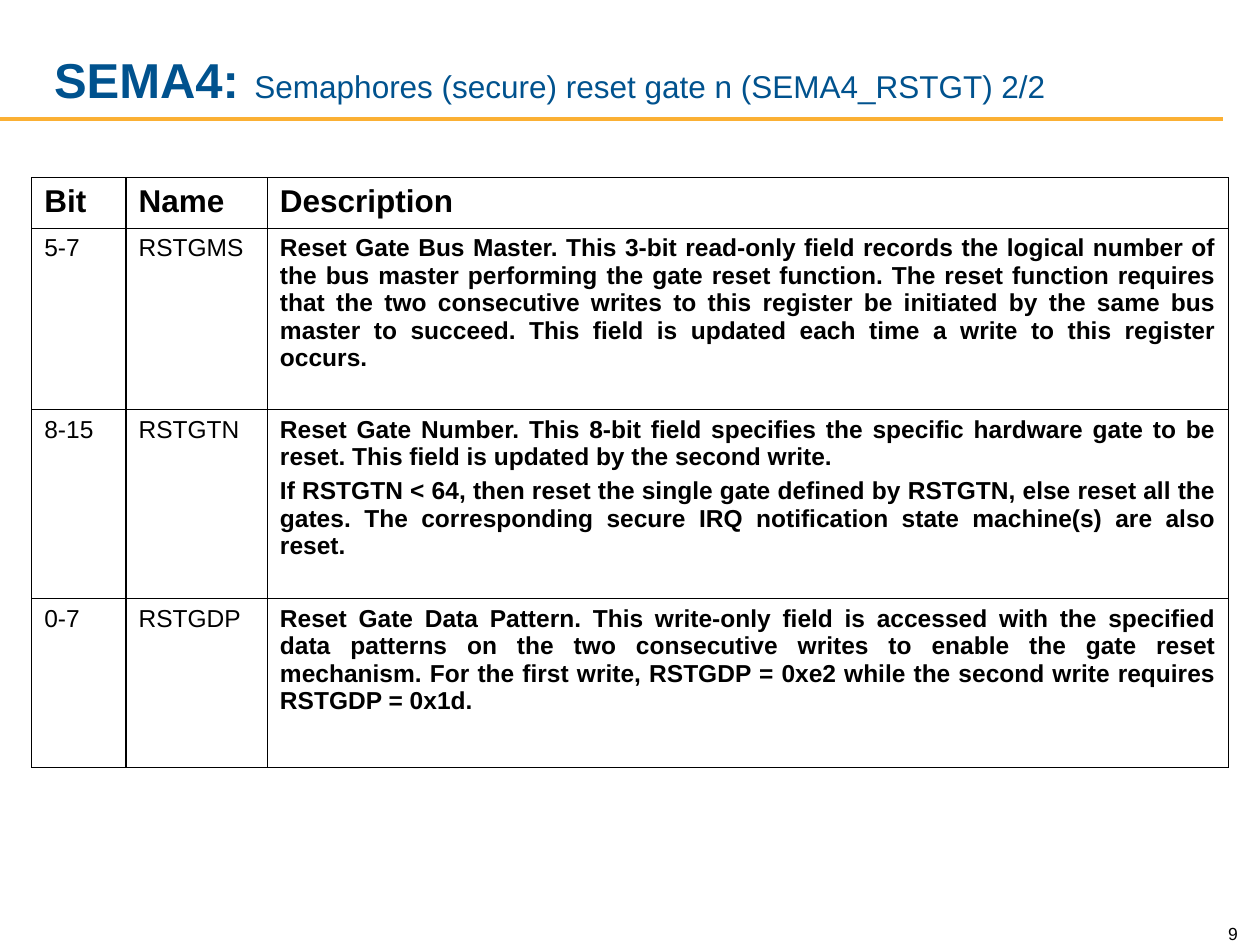
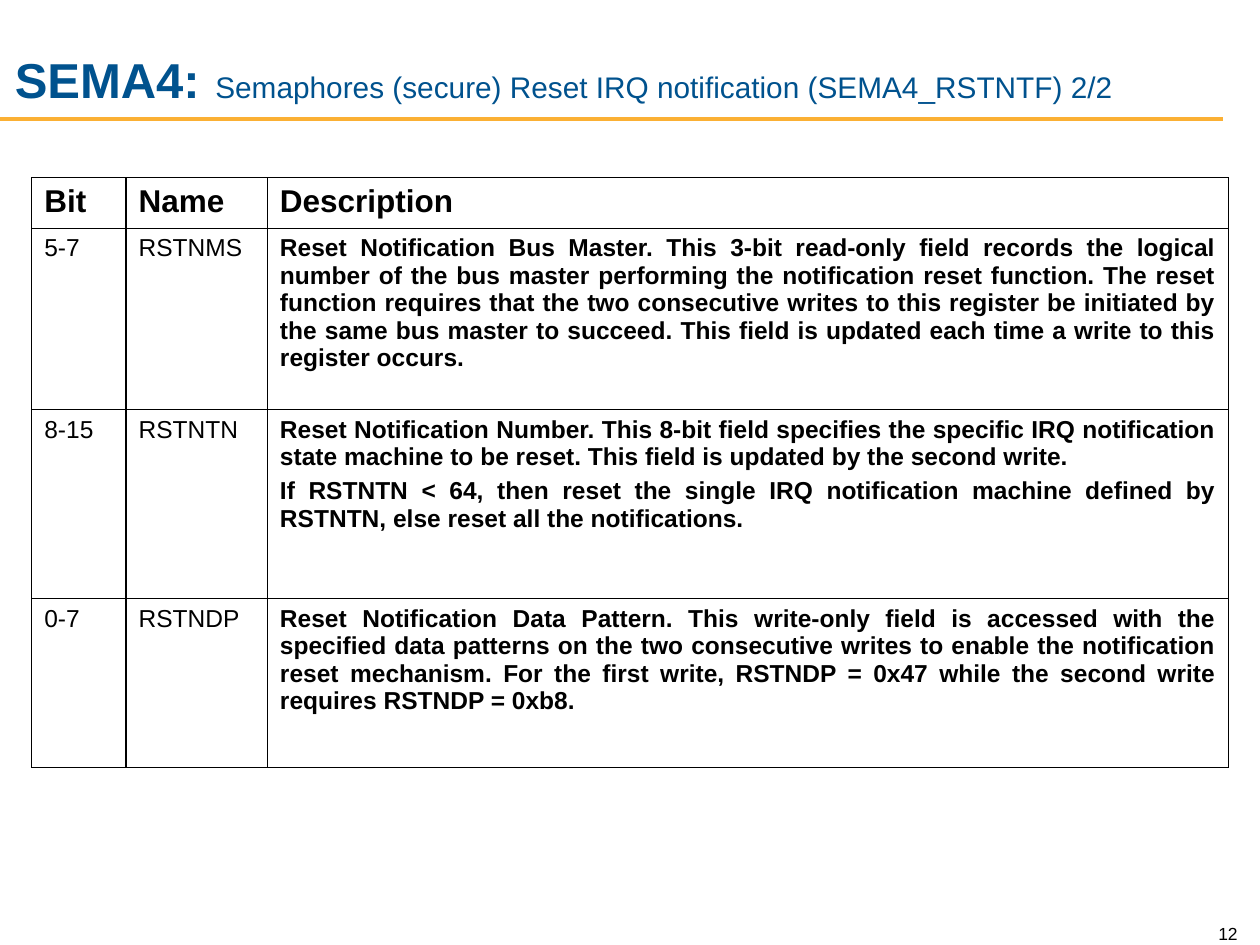
from lxml import etree
from pptx import Presentation
from pptx.dml.color import RGBColor
from pptx.enum.shapes import MSO_CONNECTOR
from pptx.enum.text import MSO_ANCHOR, PP_ALIGN
from pptx.oxml.ns import qn
from pptx.util import Cm, Pt

STRAIGHT = MSO_CONNECTOR.STRAIGHT
BOTTOM = MSO_ANCHOR.BOTTOM
LEFT, RIGHT, JUSTIFY = PP_ALIGN.LEFT, PP_ALIGN.RIGHT, PP_ALIGN.JUSTIFY

COLORS = {"title": "00528E", "rule": "FBB034", "text": "000000"}
FONT = "Arial"

# Boxes are left, top, width, height in centimetres
TABLE_BOX = (0.64, 3.58, 24.13, 11.89)
NUMBER_BOX = (23.93, 18.39, 1.27, 0.76)
RULE_TOP, RULE_WIDTH = 2.39, 24.66
COLUMN_WIDTHS = (1.9, 2.85, 19.38)
ROW_HEIGHTS = (1.02, 3.66, 3.81, 3.4)
BORDER_WIDTH = 0.75

HEADER_FORMAT = {"size": Pt(18), "bold": True}
LABEL_FORMAT = {"size": Pt(14), "bold": False}
DESCRIPTION_FORMAT = {"size": Pt(14), "bold": True}
NUMBER_FORMAT = {"size": Pt(10), "bold": False}

HEADERS = ("Bit", "Name", "Description")

REGISTERS = [
    {
        "title": "Semaphores (secure) reset gate n (SEMA4_RSTGT) 2/2",
        "title_size": 18,
        "title_box": (0.84, 0.43, 22.3, 1.9),
        "number": "9",
        "fields": [
            ("5-7", "RSTGMS", [
                "Reset Gate Bus Master. This 3-bit read-only field records the logical number "
                "of the bus master performing the gate reset function. The reset function "
                "requires that the two consecutive writes to this register be initiated by the "
                "same bus master to succeed. This field is updated each time a write to this "
                "register occurs."]),
            ("8-15", "RSTGTN", [
                "Reset Gate Number. This 8-bit field specifies the specific hardware gate to be "
                "reset. This field is updated by the second write.",
                "If RSTGTN < 64, then reset the single gate defined by RSTGTN, else reset all "
                "the gates. The corresponding secure IRQ notification state machine(s) are also "
                "reset."]),
            ("0-7", "RSTGDP", [
                "Reset Gate Data Pattern. This write-only field is accessed with the specified "
                "data patterns on the two consecutive writes to enable the gate reset "
                "mechanism. For the first write, RSTGDP = 0xe2 while the second write requires "
                "RSTGDP = 0x1d."]),
        ],
    },
    {
        "title": "Semaphores (secure) Reset IRQ notification (SEMA4_RSTNTF) 2/2",
        "title_size": 17,
        "title_box": (0.05, 0.43, 22.86, 1.9),
        "number": "12",
        "fields": [
            ("5-7", "RSTNMS", [
                "Reset Notification Bus Master. This 3-bit read-only field records the logical "
                "number of the bus master performing the notification reset function. The reset "
                "function requires that the two consecutive writes to this register be "
                "initiated by the same bus master to succeed. This field is updated each time a "
                "write to this register occurs."]),
            ("8-15", "RSTNTN", [
                "Reset Notification Number. This 8-bit field specifies the specific IRQ "
                "notification state machine to be reset. This field is updated by the second "
                "write.",
                "If RSTNTN < 64, then reset the single IRQ notification machine defined by "
                "RSTNTN, else reset all the notifications."]),
            ("0-7", "RSTNDP", [
                "Reset Notification Data Pattern. This write-only field is accessed with the "
                "specified data patterns on the two consecutive writes to enable the "
                "notification reset mechanism. For the first write, RSTNDP = 0x47 while the "
                "second write requires RSTNDP = 0xb8."]),
        ],
    },
]


def add_run(paragraph, text, font_format, color="text"):
    run = paragraph.add_run()
    run.text = text
    for name, value in {"name": FONT, **font_format}.items():
        setattr(run.font, name, value)
    run.font.color.rgb = RGBColor.from_string(COLORS[color])


def add_text_box(slide, box, alignment):
    """Add a wrapping, bottom-anchored text box and return its paragraph."""
    frame = slide.shapes.add_textbox(*map(Cm, box)).text_frame
    frame.word_wrap = True
    frame.vertical_anchor = BOTTOM
    paragraph = frame.paragraphs[0]
    paragraph.alignment = alignment
    return paragraph


def add_rule(slide):
    rule = slide.shapes.add_connector(
        STRAIGHT, 0, Cm(RULE_TOP), Cm(RULE_WIDTH), Cm(RULE_TOP))
    rule.line.color.rgb = RGBColor.from_string(COLORS["rule"])
    rule.line.width = Pt(2.25)
    etree.SubElement(rule._element.spPr, qn("a:effectLst"))


def add_title(slide, box, title, size):
    paragraph = add_text_box(slide, box, LEFT)
    for text, points, bold in (("SEMA4:", 28, True), (" ", 32, True), (title, size, False)):
        add_run(paragraph, text, {"size": Pt(points), "bold": bold}, "title")


def add_page_number(slide, box, number):
    add_run(add_text_box(slide, box, RIGHT), number, NUMBER_FORMAT)


def set_borders(cell):
    properties = cell._tc.get_or_add_tcPr()
    for side in ("lnL", "lnR", "lnT", "lnB"):
        border = etree.SubElement(properties, qn(f"a:{side}"), w=str(Pt(BORDER_WIDTH)))
        fill = etree.SubElement(border, qn("a:solidFill"))
        etree.SubElement(fill, qn("a:srgbClr"), val=COLORS["text"])


def fill_cell(cell, texts, font_format, alignment):
    set_borders(cell)
    cell.fill.background()
    frame = cell.text_frame
    for index, text in enumerate(texts):
        paragraph = frame.add_paragraph() if index else frame.paragraphs[0]
        paragraph.alignment = alignment
        paragraph.space_before = font_format["size"] // 4
        add_run(paragraph, text, font_format)


def add_field_table(slide, box, fields):
    table = slide.shapes.add_table(
        len(ROW_HEIGHTS), len(COLUMN_WIDTHS), *map(Cm, box)).table
    table.first_row = table.horz_banding = False
    for column, width in zip(table.columns, COLUMN_WIDTHS):
        column.width = Cm(width)
    for row, height in zip(table.rows, ROW_HEIGHTS):
        row.height = Cm(height)

    # Header row
    for column, header in enumerate(HEADERS):
        fill_cell(table.cell(0, column), [header], HEADER_FORMAT, LEFT)

    # One row for each register field
    for row, (bits, name, description) in enumerate(fields, start=1):
        fill_cell(table.cell(row, 0), [bits], LABEL_FORMAT, LEFT)
        fill_cell(table.cell(row, 1), [name], LABEL_FORMAT, LEFT)
        fill_cell(table.cell(row, 2), description, DESCRIPTION_FORMAT, JUSTIFY)


def add_register_slide(presentation, register):
    slide = presentation.slides.add_slide(presentation.slide_layouts[6])
    add_rule(slide)
    add_title(slide, register["title_box"], register["title"], register["title_size"])
    add_field_table(slide, TABLE_BOX, register["fields"])
    add_page_number(slide, NUMBER_BOX, register["number"])


def main():
    presentation = Presentation()
    presentation.slide_width = Cm(25.4)
    presentation.slide_height = Cm(19.05)
    for register in REGISTERS:
        add_register_slide(presentation, register)
    presentation.save("out.pptx")


if __name__ == "__main__":
    main()
